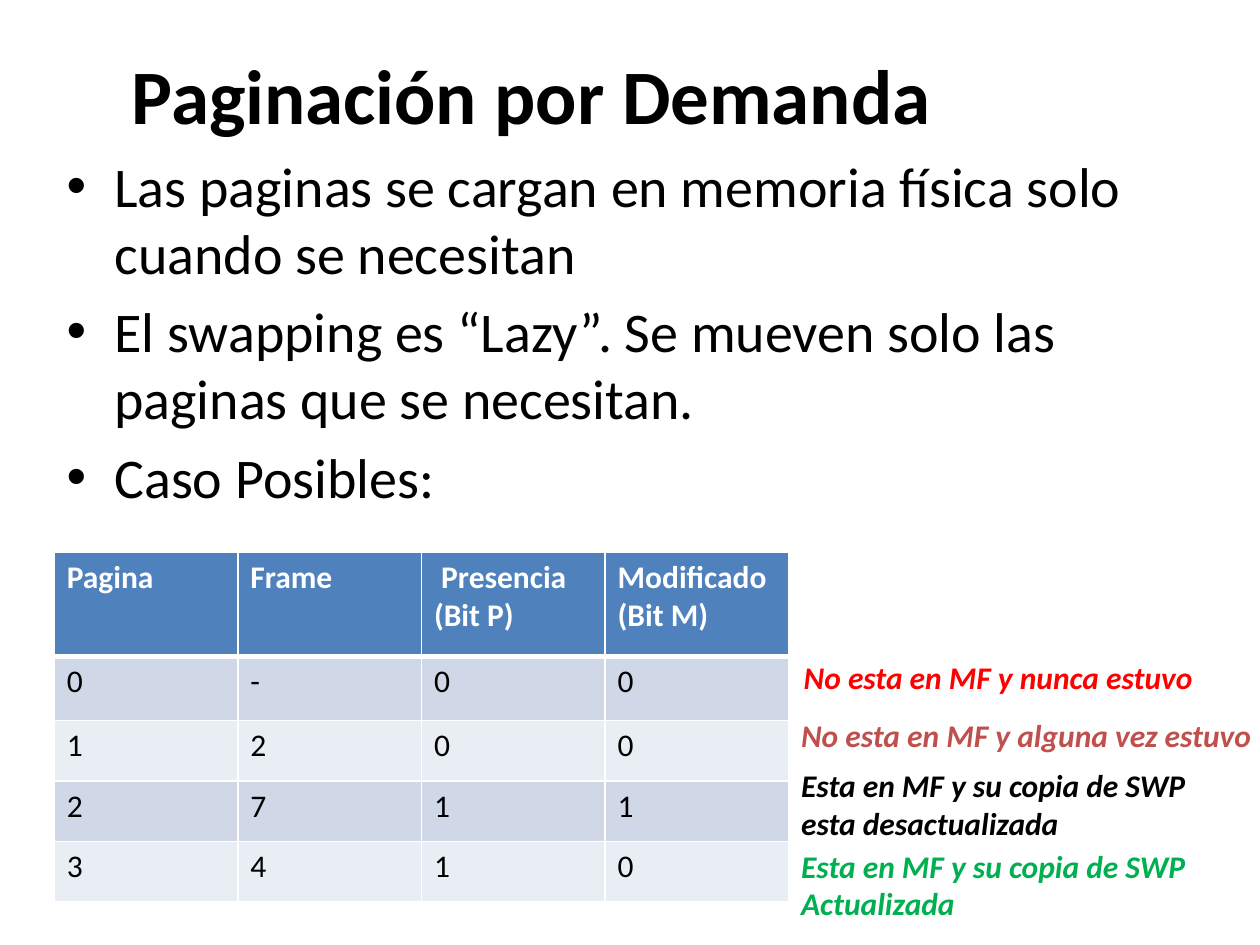
from lxml.etree import SubElement
from pptx import Presentation
from pptx.dml.color import RGBColor
from pptx.enum.text import MSO_ANCHOR as Anchor, PP_ALIGN as Align
from pptx.oxml.ns import qn
from pptx.util import Inches, Pt

FONT = "Calibri"
COLORS = {
    "black": "000000",
    "white": "FFFFFF",
    "header": "4F81BD",
    "band_dark": "D0D8E8",
    "band_light": "E9EDF4",
    "red": "FF0000",
    "brick": "C0504D",
    "green": "00B050",
}
BULLETS = [
    "Las paginas se cargan en memoria física solo cuando se necesitan",
    "El swapping es “Lazy”. Se mueven solo las paginas que se necesitan.",
    "Caso Posibles:",
]
PAGE_TABLE = [
    ["Pagina", "Frame", " Presencia (Bit P)", "Modificado\n(Bit M)"],
    ["0", "-", "0", "0"],
    ["1", "2", "0", "0"],
    ["2", "7", "1", "1"],
    ["3", "4", "1", "0"],
]
ROW_HEIGHTS = [0.83, 0.51, 0.48, 0.48, 0.48]
CASE_NOTES = [
    ("No esta en MF y nunca estuvo", "red", (6.28, 5.17, 3.45, 0.4)),
    ("No esta en MF y alguna vez estuvo", "brick", (6.26, 5.63, 4, 0.4)),
    ("Esta en MF y su copia de SWP esta desactualizada", "black", (6.26, 6.03, 3.62, 0.71)),
    ("Esta en MF y su copia de SWP Actualizada", "green", (6.26, 6.67, 3.62, 0.71)),
]


def write_text(frame, text, size=18, color="black", bold=False, italic=False,
               align=Align.LEFT, bullet=False, space_before=0):
    frame.word_wrap = True
    for index, line in enumerate(text.split("\n")):
        paragraph = frame.paragraphs[0] if index == 0 else frame.add_paragraph()
        paragraph.alignment = align
        if index and space_before:
            paragraph.space_before = Pt(space_before)
        if bullet:
            properties = paragraph._p.get_or_add_pPr()
            properties.set("marL", str(Inches(0.38)))
            properties.set("indent", str(Inches(-0.38)))
            SubElement(properties, qn("a:buFont"), typeface="Arial")
            SubElement(properties, qn("a:buChar"), char="•")
        run = paragraph.add_run()
        run.text = line
        run.font.name = FONT
        run.font.size = Pt(size)
        run.font.bold = bold
        run.font.italic = italic
        run.font.color.rgb = RGBColor.from_string(COLORS[color])


def add_text(slide, box, text, anchor=Anchor.TOP, **text_format):
    shape = slide.shapes.add_textbox(*map(Inches, box))
    shape.text_frame.vertical_anchor = anchor
    write_text(shape.text_frame, text, **text_format)


def style_cell(cell, fill, widths):
    properties = cell._tc.get_or_add_tcPr()
    for side, width in widths.items():
        line = SubElement(properties, qn(f"a:ln{side}"), w=str(Pt(width)))
        solid = SubElement(line, qn("a:solidFill"))
        SubElement(solid, qn("a:srgbClr"), val=COLORS["white"])
    cell.fill.solid()
    cell.fill.fore_color.rgb = RGBColor.from_string(COLORS[fill])


def add_page_table(slide, box):
    column_count = len(PAGE_TABLE[0])
    table = slide.shapes.add_table(len(PAGE_TABLE), column_count, *map(Inches, box)).table
    for column in table.columns:
        column.width = Inches(box[2] / column_count)
    for row_index, values in enumerate(PAGE_TABLE):
        table.rows[row_index].height = Inches(ROW_HEIGHTS[row_index])
        header = row_index == 0
        fill = "header" if header else ("band_light", "band_dark")[row_index % 2]
        widths = {"L": 1, "R": 1, "T": 3 if row_index == 1 else 1, "B": 3 if header else 1}
        for column_index, value in enumerate(values):
            cell = table.cell(row_index, column_index)
            style_cell(cell, fill, widths)
            write_text(cell.text_frame, value, bold=header,
                       color="white" if header else "black")


def add_case_notes(slide):
    for text, color, box in CASE_NOTES:
        add_text(slide, box, text, color=color, bold=True, italic=True)


def main():
    presentation = Presentation()
    presentation.slide_width = Inches(10)
    presentation.slide_height = Inches(7.5)
    slide = presentation.slides.add_slide(presentation.slide_layouts[6])
    add_text(slide, (-0.28, 0.12, 9, 1.25), "Paginación por Demanda",
             anchor=Anchor.MIDDLE, size=44, bold=True, align=Align.CENTER)
    add_text(slide, (0.43, 1.15, 9.06, 2.98), "\n".join(BULLETS),
             size=32, bullet=True, space_before=6.4)
    add_page_table(slide, (0.43, 4.38, 5.83, sum(ROW_HEIGHTS)))
    add_case_notes(slide)
    presentation.save("out.pptx")


if __name__ == "__main__":
    main()
